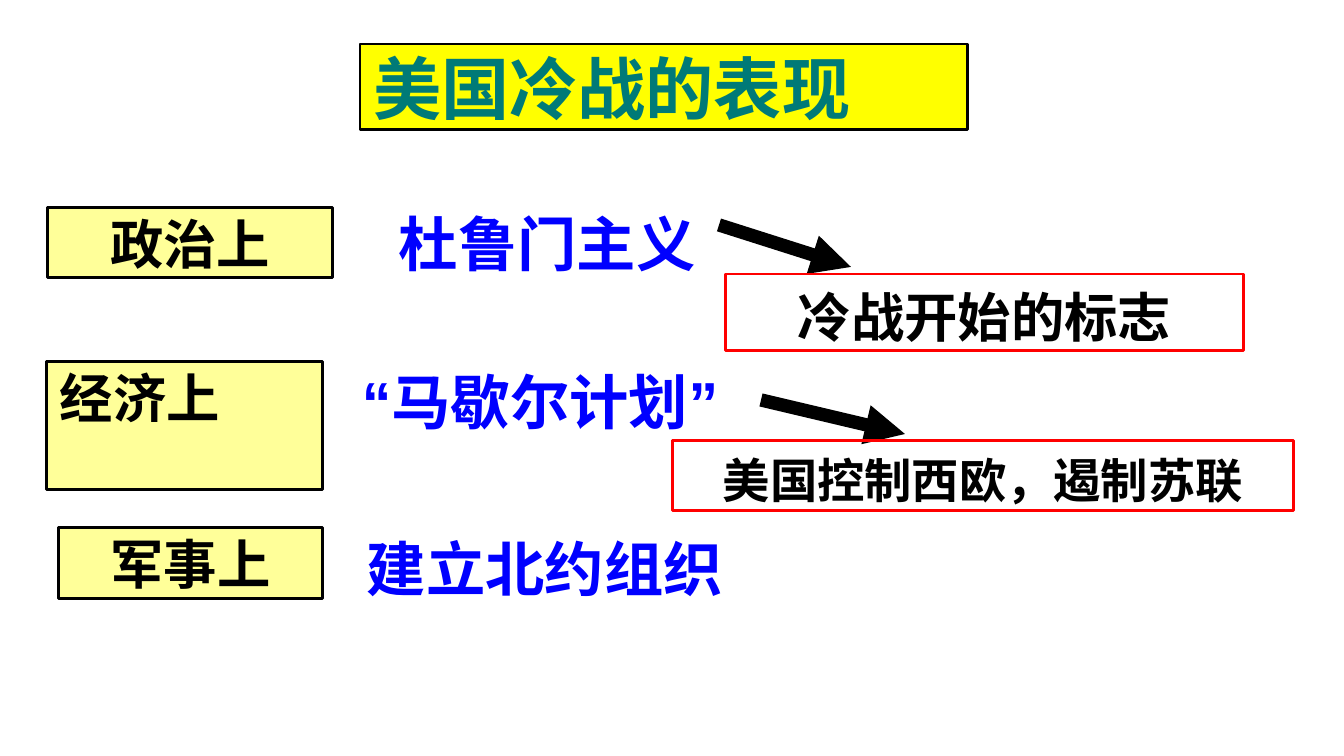
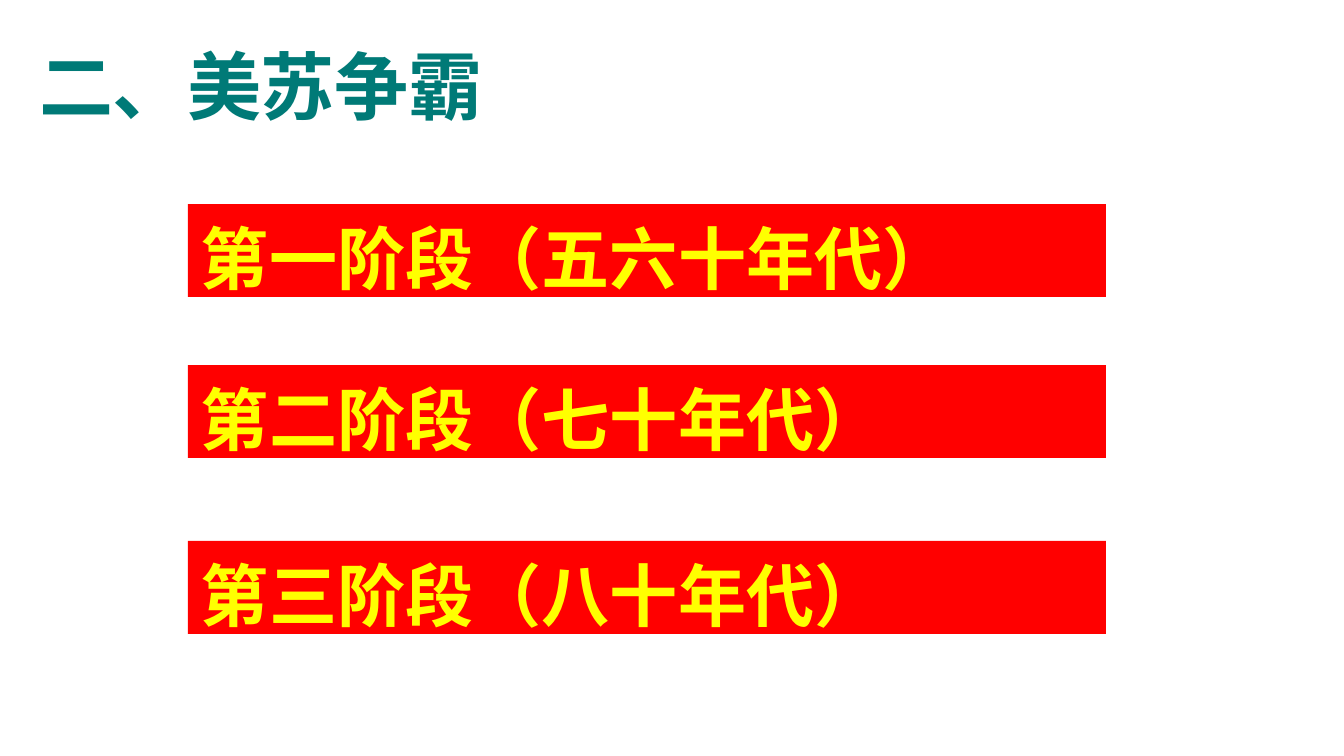
import pptx
import pptx.util
import pptx.dml.color
import pptx.enum.shapes
import pptx.enum.text
import pptx.oxml
import pptx.oxml.ns
import lxml.etree

PX = 4286  # EMU per px
COLORS = {
    "teal": "007A77", "yellow": "FFFF00", "cream": "FFFF99",
    "blue": "0000FF", "red": "FF0000", "black": "000000",
}
CJK = "Noto Sans CJK SC"
NORMAL, TIGHT = 1.29, 1.15  # line height as a multiple of the text size
LEFT = pptx.enum.text.PP_ALIGN.LEFT
CENTER = pptx.enum.text.PP_ALIGN.CENTER
RECTANGLE = pptx.enum.shapes.MSO_SHAPE.RECTANGLE


def rgb(name):
    return pptx.dml.color.RGBColor.from_string(COLORS[name])


def write(shape, box, runs, size, color, spacing=NORMAL, align=LEFT, fill=None, line=None):
    """Place a shape, paint it and fill it with one bold line of (text, font) runs."""
    shape.left, shape.top, shape.width, shape.height = [v * PX for v in box]
    if fill:
        shape.fill.solid()
        shape.fill.fore_color.rgb = rgb(fill)
    else:
        shape.fill.background()
    if line:
        shape.line.color.rgb = rgb(line)
        shape.line.width = pptx.util.Pt(1)
    else:
        shape.line.fill.background()

    frame = shape.text_frame
    frame.word_wrap = True
    frame.auto_size = pptx.enum.text.MSO_AUTO_SIZE.NONE
    frame.vertical_anchor = pptx.enum.text.MSO_ANCHOR.TOP
    frame.margin_left = frame.margin_right = 13 * PX
    frame.margin_top = frame.margin_bottom = 6 * PX
    paragraph = frame.paragraphs[0]
    paragraph.alignment = align
    paragraph.line_spacing = pptx.util.Pt(round(size * spacing, 1))
    for text, font in runs:
        run = paragraph.add_run()
        run.text = text
        run.font.name = font
        run.font.size = pptx.util.Pt(size)
        run.font.bold = True
        run.font.color.rgb = rgb(color)
        east_asian = lxml.etree.SubElement(run.font._element, pptx.oxml.ns.qn("a:ea"))
        east_asian.set("typeface", CJK if font == "Times New Roman" else font)


prs = pptx.Presentation()
prs.slide_width, prs.slide_height = 1344 * PX, 756 * PX
title_only = prs.slide_layouts[5]

# Slide 1: how the Cold War showed
cold_war = prs.slides.add_slide(title_only)
write(cold_war.shapes.title, (360, 44, 608, 86), [("美国冷战的表现", CJK)], 23, "teal",
      TIGHT, fill="yellow", line="black")

# Fields on the left
for field, box, align in [
    ("政治上", (47, 208, 286, 70), CENTER),
    ("经济上", (47, 362, 276, 128), LEFT),
    ("军事上", (58, 528, 265, 71), CENTER),
]:
    label = cold_war.shapes.add_shape(RECTANGLE, 0, 0, 0, 0)
    label.shadow.inherit = False
    write(label, box, [(field, CJK)], 18, "black", TIGHT, align, "cream", "black")

# Measures in the middle
for measure, box, spacing in [
    ([("杜鲁门主义", CJK)], (386, 196, 340, 83), NORMAL),
    ([("“", "Arial"), ("马歇尔计划", CJK), ("”", "Arial")], (349, 354, 400, 83), NORMAL),
    ([("建立北约组织", CJK)], (354, 529, 529, 77), TIGHT),
]:
    write(cold_war.shapes.add_textbox(0, 0, 0, 0), box, measure, 20, "blue", spacing)

# Arrows to the meaning of each measure
for ends in [(719, 225, 851, 267), (761, 400, 905, 434)]:
    arrow = cold_war.shapes.add_connector(
        pptx.enum.shapes.MSO_CONNECTOR.STRAIGHT, *[v * PX for v in ends])
    arrow.line.color.rgb = rgb("black")
    arrow.line.width = pptx.util.Pt(4.5)
    head = lxml.etree.SubElement(arrow.line._get_or_add_ln(), pptx.oxml.ns.qn("a:tailEnd"))
    head.set("type", "triangle")
    lxml.etree.SubElement(arrow._element.spPr, pptx.oxml.ns.qn("a:effectLst"))

for meaning, box, size in [
    ("冷战开始的标志", (725, 274, 519, 77), 18),
    ("美国控制西欧，遏制苏联", (672, 441, 622, 70), 16),
]:
    frame_box = cold_war.shapes.add_shape(RECTANGLE, 0, 0, 0, 0)
    frame_box.shadow.inherit = False
    write(frame_box, box, [(meaning, CJK)], size, "black", align=CENTER, line="red")

# Slide 2: stages of the rivalry
rivalry = prs.slides.add_slide(title_only)
write(rivalry.shapes.title, (26, 28, 966, 100), [("二、美苏争霸", "Times New Roman")], 25, "teal")

for stage, top in [
    ("第一阶段（五六十年代）", 204),
    ("第二阶段（七十年代）", 365),
    ("第三阶段（八十年代）", 541),
]:
    band = rivalry.shapes.add_shape(RECTANGLE, 0, 0, 0, 0)
    band.shadow.inherit = False
    write(band, (188, top, 918, 93), [(stage, CJK)], 23, "yellow", fill="red")

prs.save("out.pptx")
